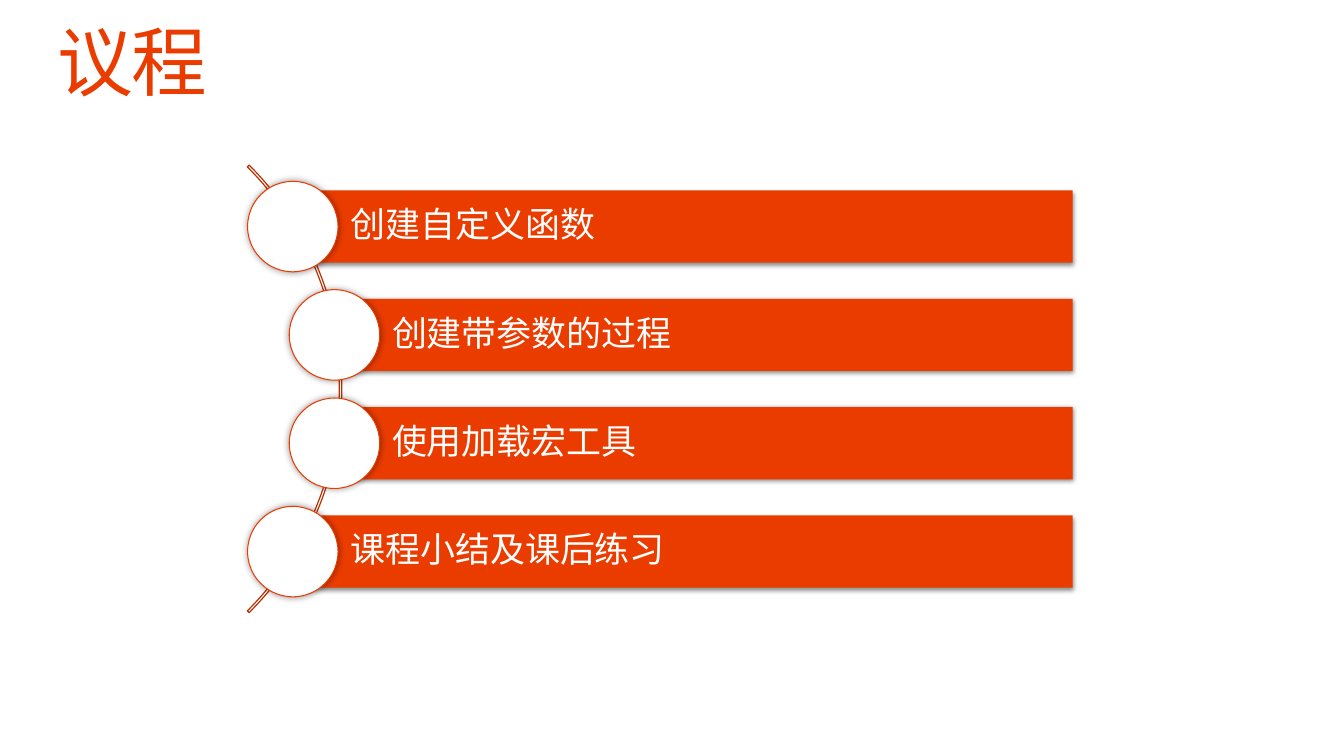
from lxml import etree
from pptx import Presentation
from pptx import util as u
from pptx.dml.color import RGBColor
from pptx.enum import shapes, text
from pptx.oxml import ns

COLORS = {"accent": "EB3C00", "arc": "BC3000", "white": "FFFFFF", "shadow": "000000"}
TOPICS = ["创建自定义函数", "创建带参数的过程", "使用加载宏工具", "课程小结及课后练习"]
NODE_X = [7.38, 8.43, 8.43, 7.38]
FIRST_Y, PITCH = 5.71, 2.73
BAR_RIGHT, BAR_HEIGHT, NODE_SIZE = 27.03, 1.82, 2.28
ARC_X, ARC_Y, ARC_SIZE = 0.64, 9.8, 15.95


class AgendaSlide:
    title_font = "Karla"
    topic_font = "Noto Sans CJK SC"

    def __init__(self, slide):
        self.slide = slide

    def color(self, name):
        return RGBColor.from_string(COLORS[name])

    def shape(self, kind, left, top, width, height, fill=None, line=None, line_width=0.75):
        item = self.slide.shapes.add_shape(
            kind, u.Cm(left), u.Cm(top), u.Cm(width), u.Cm(height))
        item.shadow.inherit = False
        if fill:
            item.fill.solid()
            item.fill.fore_color.rgb = self.color(fill)
        else:
            item.fill.background()
        if line:
            item.line.color.rgb = self.color(line)
            item.line.width = u.Pt(line_width)
        else:
            item.line.fill.background()
        return item

    def add_shadow(self, item, opacity, blur, distance=0, angle=0):
        effects = item._element.spPr.find(ns.qn("a:effectLst"))
        shadow = etree.SubElement(
            effects, ns.qn("a:outerShdw"), blurRad=str(u.Pt(blur)),
            dist=str(u.Pt(distance)), dir=str(angle * 60000), rotWithShape="0")
        tint = etree.SubElement(shadow, ns.qn("a:srgbClr"), val=COLORS["shadow"])
        etree.SubElement(tint, ns.qn("a:alpha"), val=str(opacity * 1000))

    def set_words(self, frame, words, size, font, color, insets, anchor, spacing=0):
        frame.word_wrap = True
        frame.vertical_anchor = anchor
        frame.margin_left, frame.margin_top, frame.margin_right, frame.margin_bottom = (
            u.Cm(inset) for inset in insets)
        frame.text = words
        paragraph = frame.paragraphs[0]
        paragraph.alignment = text.PP_ALIGN.LEFT
        paragraph.line_spacing = 0.9
        run = paragraph.runs[0]
        run.font.size = u.Pt(size)
        run.font.name = font
        run.font.color.rgb = self.color(color)
        properties = run._r.get_or_add_rPr()
        etree.SubElement(properties, ns.qn("a:ea"), typeface=font)
        if spacing:
            properties.set("spc", str(spacing * 100))

    def title(self, words):
        box = self.slide.shapes.add_textbox(u.Cm(1.45), u.Cm(0.64), u.Cm(30.96), u.Cm(2.08))
        self.set_words(box.text_frame, words, 54, self.title_font, "accent",
                       (0, 0, 0, 0), text.MSO_ANCHOR.TOP, spacing=-1)

    def arc(self, center_x, center_y, size):
        curve = self.shape(shapes.MSO_SHAPE.BLOCK_ARC, center_x - size / 2,
                           center_y - size / 2, size, size, line="arc", line_width=0.85)
        for index, value in enumerate((189, 27, 0.004)):
            curve.adjustments[index] = value

    def bar(self, words, left, center_y):
        band = self.shape(shapes.MSO_SHAPE.RECTANGLE, left, center_y - BAR_HEIGHT / 2,
                          BAR_RIGHT - left, BAR_HEIGHT, fill="accent")
        self.add_shadow(band, 45, 3.5, 1.1, 90)
        self.set_words(band.text_frame, words, 25, self.topic_font, "white",
                       (1.45, 0.18, 0.18, 0.18), text.MSO_ANCHOR.MIDDLE)

    def node(self, center_x, center_y):
        circle = self.shape(shapes.MSO_SHAPE.OVAL, center_x - NODE_SIZE / 2,
                            center_y - NODE_SIZE / 2, NODE_SIZE, NODE_SIZE,
                            fill="white", line="accent")
        self.add_shadow(circle, 40, 5)


def main():
    deck = Presentation()
    deck.slide_width, deck.slide_height = u.Cm(33.87), u.Cm(19.05)
    agenda = AgendaSlide(deck.slides.add_slide(deck.slide_layouts[6]))
    agenda.title("议程")
    agenda.arc(ARC_X, ARC_Y, ARC_SIZE)
    for row, (topic, x) in enumerate(zip(TOPICS, NODE_X)):
        y = FIRST_Y + row * PITCH
        agenda.bar(topic, x, y)
        agenda.node(x, y)
    deck.save("out.pptx")


if __name__ == "__main__":
    main()
